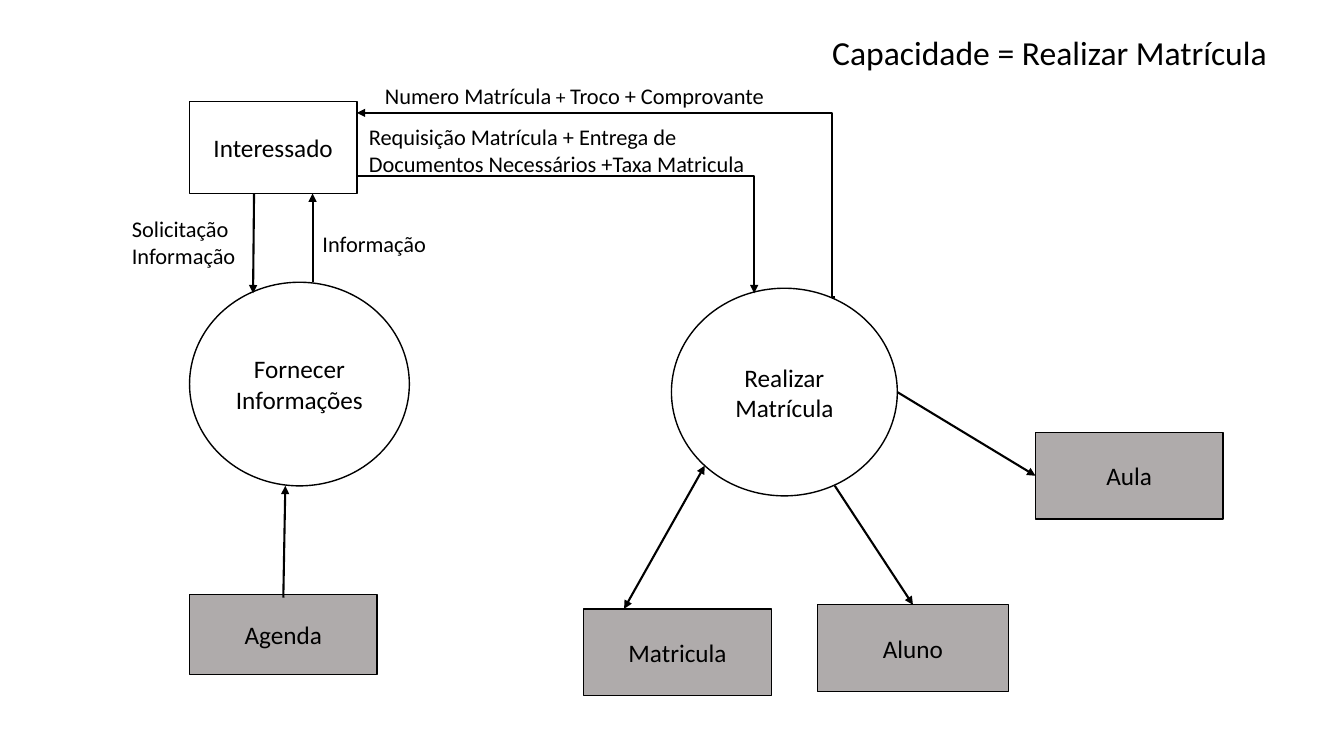
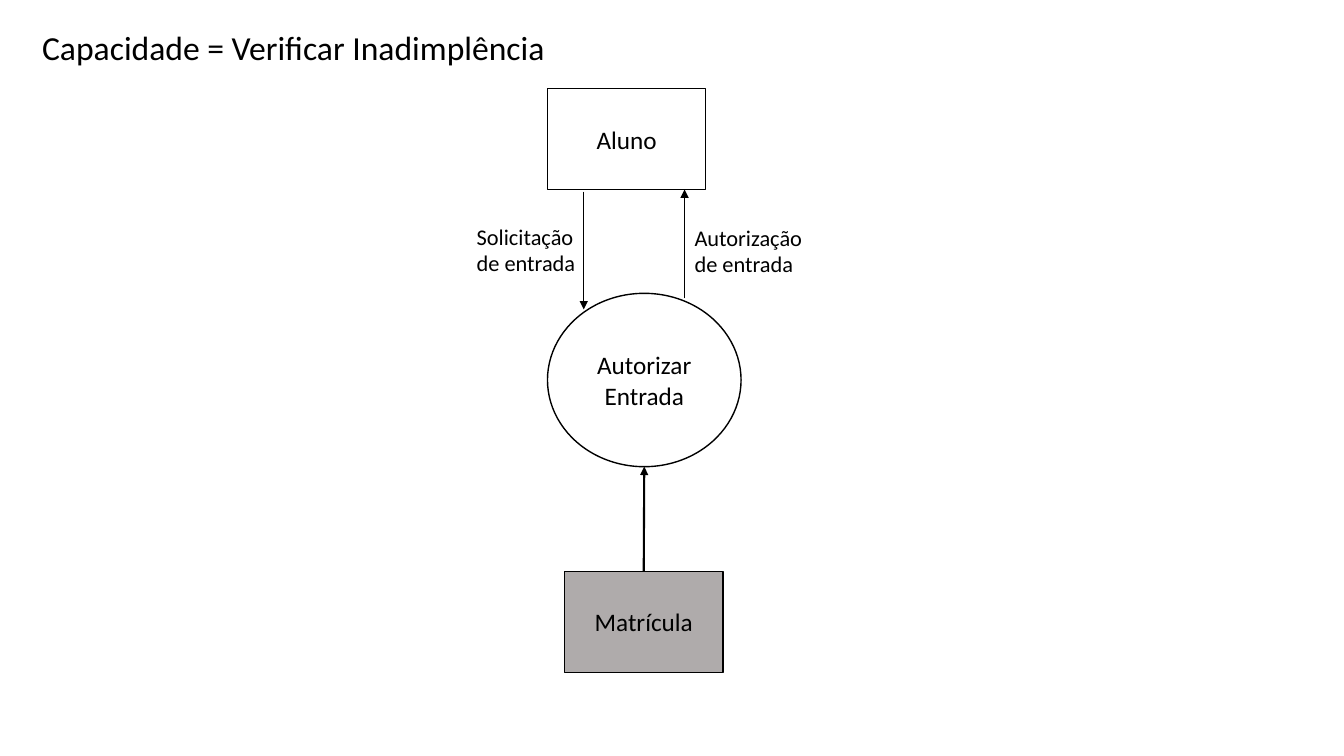
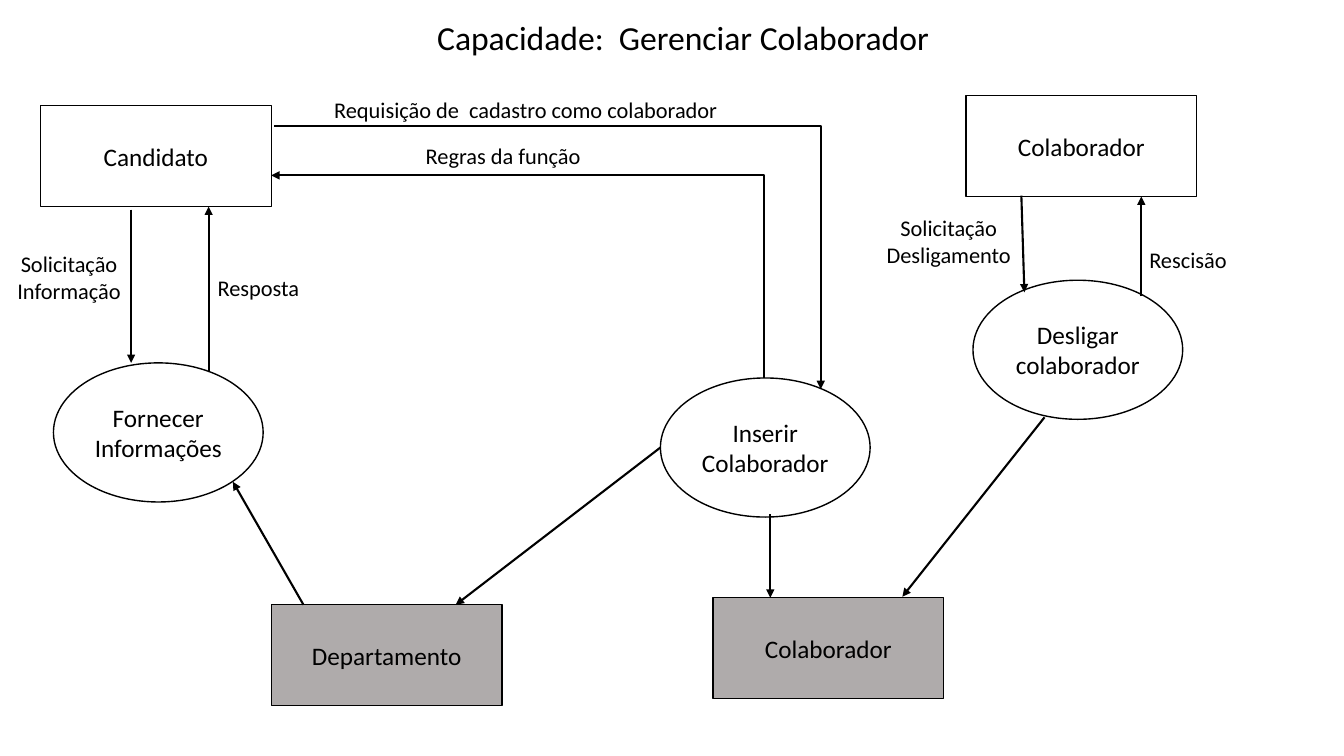
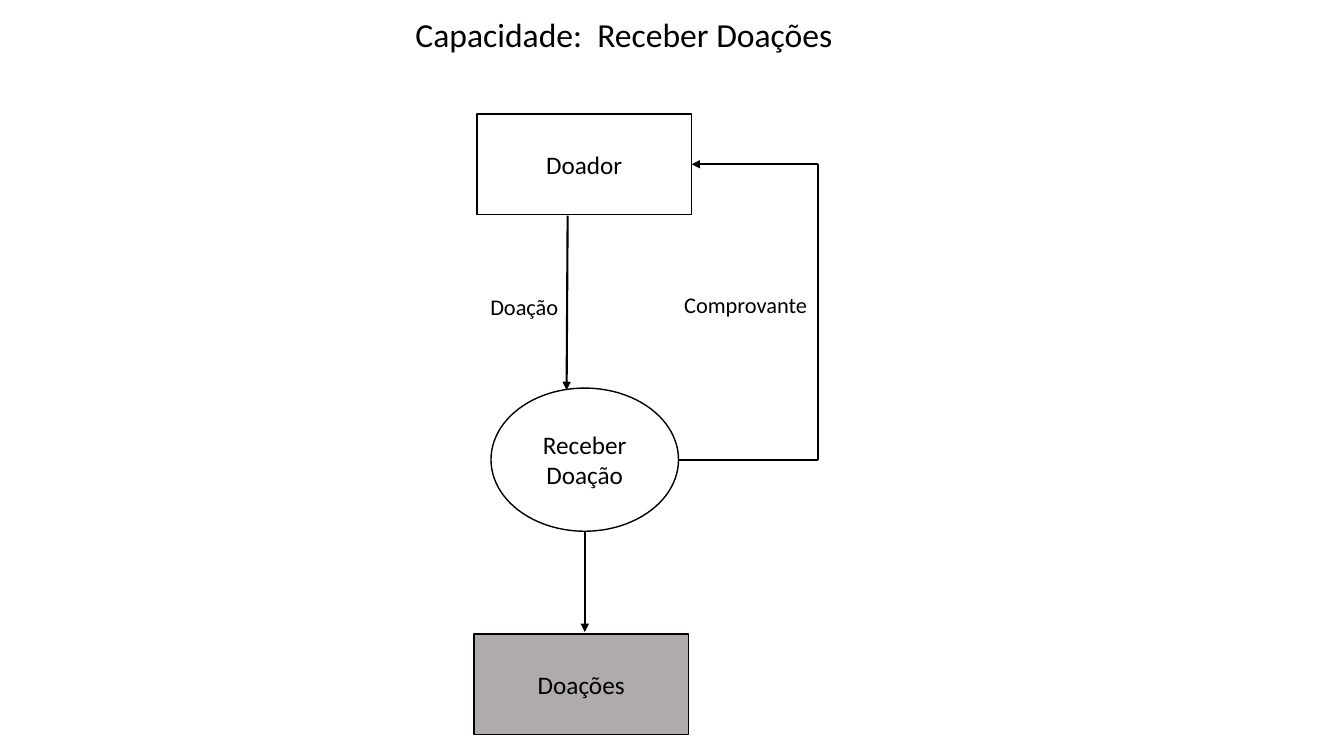
from dataclasses import dataclass

from lxml.etree import SubElement
from pptx import Presentation
from pptx.dml.color import RGBColor
from pptx.enum.shapes import MSO_CONNECTOR, MSO_SHAPE
from pptx.enum.text import MSO_ANCHOR, MSO_AUTO_SIZE, PP_ALIGN
from pptx.oxml.ns import qn
from pptx.slide import Slide
from pptx.util import Pt

PX = 9144  # 100 px to the inch
BLACK = RGBColor(0x00, 0x00, 0x00)
WHITE = RGBColor(0xFF, 0xFF, 0xFF)
GRAY = RGBColor(0xAF, 0xAB, 0xAB)
FONT = "Calibri"
TITLE_SIZE, SHAPE_SIZE, LABEL_SIZE = 24, 18, 16
LEFT, CENTER = PP_ALIGN.LEFT, PP_ALIGN.CENTER
TOP_SIDE, LEFT_SIDE, RIGHT_SIDE = 0, 1, 3
TEXT_FRAME = {"word_wrap": True, "vertical_anchor": MSO_ANCHOR.TOP,
              "auto_size": MSO_AUTO_SIZE.SHAPE_TO_FIT_TEXT}
SHAPE_FRAME = {"word_wrap": True, "vertical_anchor": MSO_ANCHOR.MIDDLE}


def apply(obj, values):
    for name, value in values.items():
        setattr(obj, name, value)


def write(tf, lines, size, align, frame):
    """Fill a text frame; a line is a string or a list of (text, size) runs."""
    apply(tf, frame)
    for i, line in enumerate(lines):
        p = tf.paragraphs[0] if i == 0 else tf.add_paragraph()
        p.alignment = align
        for text, points in [(line, size)] if isinstance(line, str) else line:
            r = p.add_run()
            r.text = text
            apply(r.font, {"name": FONT, "size": Pt(points)})
            r.font.color.rgb = BLACK


def add_slide(prs, title, box, align=CENTER):
    slide = prs.slides.add_slide(prs.slide_layouts[5])
    sp = slide.shapes.title
    apply(sp, dict(zip(("left", "top", "width", "height"), (v * PX for v in box))))
    write(sp.text_frame, [title], TITLE_SIZE, align, TEXT_FRAME)
    return slide


@dataclass
class Region:
    """Part of a data-flow diagram; all positions count from its corner."""
    slide: Slide
    left: int
    top: int

    def point(self, x, y):
        return (self.left + x) * PX, (self.top + y) * PX

    def box(self, x, y, w, h):
        return *self.point(x, y), w * PX, h * PX

    def node(self, kind, fill, lines, box):
        sp = self.slide.shapes.add_shape(kind, *self.box(*box))
        sp.shadow.inherit = False
        sp.fill.solid()
        sp.fill.fore_color.rgb = fill
        sp.line.color.rgb = BLACK
        sp.line.width = Pt(1)
        write(sp.text_frame, lines, SHAPE_SIZE, CENTER, SHAPE_FRAME)
        return sp

    def entity(self, text, *box):
        return self.node(MSO_SHAPE.RECTANGLE, WHITE, [text], box)

    def store(self, text, *box):
        return self.node(MSO_SHAPE.RECTANGLE, GRAY, [text], box)

    def process(self, lines, *box):
        return self.node(MSO_SHAPE.OVAL, WHITE, lines, box)

    def label(self, lines, *box, align=LEFT):
        sp = self.slide.shapes.add_textbox(*self.box(*box))
        write(sp.text_frame, lines, LABEL_SIZE, align, TEXT_FRAME)

    def flow(self, start, end, width=1.5, heads=("tailEnd",), bend=None):
        """Join two ends, each (x, y) or (rectangle, side); bend is the elbow's share of the width."""
        kind = MSO_CONNECTOR.STRAIGHT if bend is None else MSO_CONNECTOR.ELBOW
        ends = [self.point(*e) if isinstance(e[0], int) else (0, 0) for e in (start, end)]
        c = self.slide.shapes.add_connector(kind, *ends[0], *ends[1])
        for e, connect in ((start, c.begin_connect), (end, c.end_connect)):
            if not isinstance(e[0], int):
                connect(*e)
        c.line.color.rgb = BLACK
        c.line.width = Pt(width)
        spPr = c._element.spPr
        for head in heads:
            SubElement(spPr.find(qn("a:ln")), qn(f"a:{head}"), type="triangle")
        SubElement(spPr, qn("a:effectLst"))
        if bend is not None:
            SubElement(spPr.find(".//" + qn("a:avLst")), qn("a:gd"),
                       name="adj1", fmla=f"val {round(bend * 100000)}")


def information_region(slide, left, top):
    g = Region(slide, left, top)
    g.entity("Interessado", 67, 0, 166, 91)
    g.process(["Fornecer Informações"], 67, 179, 218, 202)
    g.store("Agenda", 67, 489, 186, 79)
    g.label(["Solicitação", "Informação"], 0, 108, 300, 64)
    g.label(["Informação"], 189, 122, 125, 37)
    g.flow((131, 91), (130, 190))
    g.flow((189, 179), (189, 91))
    g.flow((160, 492), (162, 381))


def enrolment_region(slide, left, top):
    g = Region(slide, left, top)
    g.process(["Realizar", "Matrícula"], 312, 209, 224, 206)
    g.store("Matricula", 225, 527, 186, 86)
    student = g.store("Aluno", 457, 523, 189, 86)
    lesson = g.store("Aula", 673, 352, 186, 86)
    g.label([[("Numero Matrícula", 16), (" + ", 14), ("Troco + Comprovante", 16)]],
            18, 0, 417, 37)
    g.label(["Requisição Matrícula + Entrega de Documentos Necessários +Taxa Matricula"],
            2, 40, 434, 64)
    g.flow((474, 405), (student, TOP_SIDE))
    g.flow((536, 312), (lesson, LEFT_SIDE))
    g.flow((265, 527), (345, 385), heads=("headEnd", "tailEnd"))
    g.flow((0, 98), (394, 214), bend=1)
    g.flow((474, 218), (0, 35), bend=0.005)


def entry_region(slide, left, top):
    g = Region(slide, left, top)
    g.entity("Aluno", 80, 0, 157, 100)
    g.process(["Autorizar", "Entrada"], 80, 203, 192, 172)
    enrolment = g.store("Matrícula", 97, 479, 157, 100)
    g.label(["Solicitação de entrada"], 0, 128, 142, 64)
    g.label(["Autorização de entrada"], 216, 129, 145, 64)
    g.flow((116, 102), (116, 219), width=0.5)
    g.flow((216, 208), (216, 100), width=0.5)
    g.flow((enrolment, TOP_SIDE), (176, 375))


def candidate_region(slide, left, top):
    g = Region(slide, left, top)
    g.entity("Candidato", 40, 0, 229, 100)
    g.process(["Fornecer Informações"], 53, 255, 208, 138)
    g.store("Departamento", 269, 495, 229, 100)
    g.label(["Solicitação", "Informação"], 0, 138, 137, 64, align=CENTER)
    g.label(["Resposta"], 206, 162, 149, 37)
    g.flow((130, 103), (130, 255))
    g.flow((207, 264), (207, 100))
    g.flow((301, 495), (231, 373))


def hiring_region(slide, left, top):
    g = Region(slide, left, top)
    g.process(["Inserir", "Colaborador"], 386, 285, 208, 138)
    g.store("Colaborador", 438, 503, 229, 100)
    g.label(["Requisição de  cadastro como colaborador"], 1, 0, 503, 37, align=CENTER)
    g.label(["Regras da função"], 65, 46, 330, 37, align=CENTER)
    g.flow((495, 420), (495, 503))
    g.flow((386, 354), (183, 510))
    g.flow((3, 35), (545, 296), bend=1)
    g.flow((489, 285), (0, 84), bend=0)


def dismissal_region(slide, left, top):
    g = Region(slide, left, top)
    g.entity("Colaborador", 99, 0, 229, 100)
    g.process(["Desligar colaborador"], 106, 183, 208, 138)
    g.label(["Solicitação", "Desligamento"], 0, 113, 164, 64, align=CENTER)
    g.label(["Rescisão"], 271, 144, 149, 37)
    g.flow((154, 99), (157, 195))
    g.flow((273, 199), (273, 100))
    g.flow((177, 319), (36, 497))


def donation_region(slide, left, top):
    g = Region(slide, left, top)
    donor = g.entity("Doador", 29, 0, 213, 100)
    g.process(["Receber", "Doação"], 43, 272, 186, 142)
    g.store("Doações", 26, 516, 213, 100)
    g.label(["Doação"], 3, 173, 146, 37, align=CENTER)
    g.label(["Comprovante"], 206, 171, 179, 37, align=CENTER)
    g.flow((119, 101), (118, 274))
    g.flow((136, 415), (136, 514))
    g.flow((229, 343), (367, 343), heads=())
    g.flow((367, 343), (367, 50), heads=())
    g.flow((367, 50), (donor, RIGHT_SIDE))


def main():
    prs = Presentation()
    prs.slide_width, prs.slide_height = 1333 * PX, 750 * PX

    slide = add_slide(prs, "Capacidade = Realizar Matrícula", (811, 27, 460, 50))
    information_region(slide, 121, 101)
    enrolment_region(slide, 354, 77)

    slide = add_slide(prs, "Capacidade = Verificar Inadimplência", (0, 22, 582, 50))
    entry_region(slide, 463, 88)

    slide = add_slide(prs, "Capacidade:  Gerenciar Colaborador", (296, 12, 763, 50))
    candidate_region(slide, 0, 105)
    hiring_region(slide, 269, 90)
    dismissal_region(slide, 859, 95)

    slide = add_slide(prs, "Capacidade:  Receber Doações", (402, 9, 543, 50), LEFT)
    donation_region(slide, 444, 113)

    prs.save("out.pptx")


if __name__ == "__main__":
    main()
